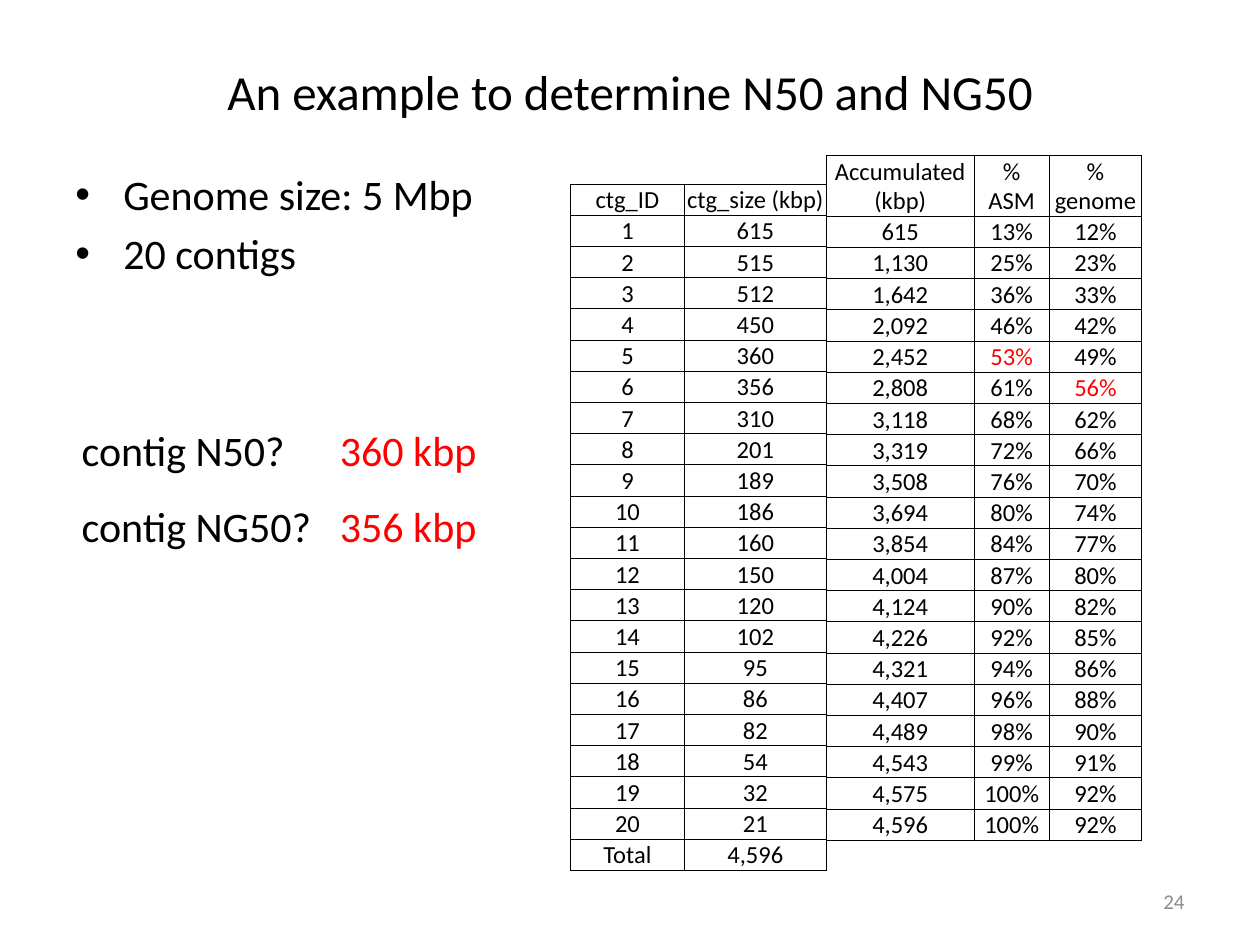
from itertools import accumulate

from lxml.etree import SubElement
from pptx import Presentation
from pptx.dml.color import RGBColor
from pptx.enum.text import MSO_ANCHOR, MSO_AUTO_SIZE, PP_ALIGN
from pptx.oxml.ns import qn
from pptx.util import Inches, Pt

BLACK = RGBColor(0x00, 0x00, 0x00)
RED = RGBColor(0xFF, 0x00, 0x00)
GRAY = RGBColor(0x8C, 0x8C, 0x8C)

CONTIG_SIZES = [615, 515, 512, 450, 360, 356, 310, 201, 189, 186,
                160, 150, 120, 102, 95, 86, 82, 54, 32, 21]
GENOME_SIZE = 5000
ROW_HEIGHT = 2.48


class SlideBuilder:
    """Hold the text style and the current slide, placed on a 100 by 75 grid."""

    font = "Calibri"
    unit = Inches(0.1)

    def __init__(self, presentation):
        self.slide = presentation.slides.add_slide(presentation.slide_layouts[5])

    def span(self, *lengths):
        return [round(length * self.unit) for length in lengths]

    def format_text(self, text_frame, size, color, align=PP_ALIGN.LEFT):
        for paragraph in text_frame.paragraphs:
            paragraph.alignment = align
            for run in paragraph.runs:
                run.font.name = self.font
                run.font.size = Pt(size)
                run.font.color.rgb = color

    def title(self, text, box):
        shape = self.slide.shapes.title
        shape.left, shape.top, shape.width, shape.height = self.span(*box)
        shape.text_frame.text = text
        shape.text_frame.vertical_anchor = MSO_ANCHOR.MIDDLE
        self.format_text(shape.text_frame, 28, BLACK, PP_ALIGN.CENTER)

    def text(self, text, box, size=24, color=BLACK, align=PP_ALIGN.LEFT):
        text_frame = self.slide.shapes.add_textbox(*self.span(*box)).text_frame
        text_frame.word_wrap = True
        text_frame.text = text
        self.format_text(text_frame, size, color, align)
        return text_frame

    def bullets(self, text, box):
        for paragraph in self.text(text, box).paragraphs:
            paragraph.space_before = Pt(4.8)
            properties = paragraph._p.get_or_add_pPr()
            properties.set("marL", str(Inches(0.38)))
            properties.set("indent", str(-Inches(0.38)))
            SubElement(properties, qn("a:buFont"), typeface="Arial")
            SubElement(properties, qn("a:buChar"), char="•")

    def spaced_lines(self, text, box, color):
        text_frame = self.text(text, box, color=color)
        text_frame.word_wrap = False
        text_frame.auto_size = MSO_AUTO_SIZE.SHAPE_TO_FIT_TEXT
        for paragraph in text_frame.paragraphs:
            paragraph.line_spacing = 1.5

    def table(self, records, left, top, widths, header_height, highlights=()):
        height = header_height + ROW_HEIGHT * (len(records) - 1)
        box = self.span(left, top, sum(widths), height)
        table = self.slide.shapes.add_table(len(records), len(widths), *box).table
        table.first_row = table.horz_banding = False
        for column, width in zip(table.columns, self.span(*widths)):
            column.width = width
        for row_index, record in enumerate(records):
            row = table.rows[row_index]
            row.height, = self.span(ROW_HEIGHT if row_index else header_height)
            for column_index, value in enumerate(record):
                color = RED if (row_index, column_index) in highlights else BLACK
                self.fill_cell(table.cell(row_index, column_index), value, color)

    def fill_cell(self, cell, value, color):
        cell.text_frame.text = value
        cell.vertical_anchor = MSO_ANCHOR.BOTTOM
        cell.margin_left = cell.margin_right = cell.margin_top = Inches(0.01)
        cell.margin_bottom = 0
        self.format_text(cell.text_frame, 14, color, PP_ALIGN.CENTER)
        properties = cell._tc.get_or_add_tcPr()
        for side in ("lnL", "lnR", "lnT", "lnB"):
            line = SubElement(properties, qn(f"a:{side}"), w=str(Pt(0.5)))
            fill = SubElement(line, qn("a:solidFill"))
            SubElement(fill, qn("a:srgbClr"), val=str(BLACK))
        cell.fill.background()


def main():
    presentation = Presentation()
    presentation.slide_width, presentation.slide_height = Inches(10), Inches(7.5)
    builder = SlideBuilder(presentation)

    builder.title("An example to determine N50 and NG50", (5, 3, 90, 8.5))
    builder.bullets("Genome size: 5 Mbp\n20 contigs", (5, 12.9, 37.5, 12.1))
    builder.spaced_lines("contig N50?\ncontig NG50?", (5.5, 31.2, 20.5, 12.8), BLACK)

    totals = list(accumulate(CONTIG_SIZES))
    assembly_size = totals[-1]
    contigs = [("ctg_ID", "ctg_size (kbp)")]
    contigs += [(str(number), str(size)) for number, size in enumerate(CONTIG_SIZES, 1)]
    contigs.append(("Total", f"{assembly_size:,}"))
    builder.table(contigs, 45.3, 14.6, (9, 11.3), ROW_HEIGHT)

    shares = [("Accumulated (kbp)", "%\nASM", "%\ngenome")]
    shares += [(f"{total:,}", f"{100 * total / assembly_size:.0f}%",
                f"{100 * total / GENOME_SIZE:.0f}%") for total in totals]
    halfway = {
        (next(row for row, total in enumerate(totals, 1) if 2 * total >= size), column)
        for column, size in ((1, assembly_size), (2, GENOME_SIZE))
    }
    builder.table(shares, 65.6, 12.35, (11.7, 6, 7.3), 4.8, halfway)

    builder.spaced_lines("360 kbp\n356 kbp", (26, 31.2, 13, 12.8), RED)
    number = builder.text("24", (71.7, 69.5, 23.3, 4), 12, GRAY, PP_ALIGN.RIGHT)
    number.vertical_anchor = MSO_ANCHOR.MIDDLE
    presentation.save("out.pptx")


if __name__ == "__main__":
    main()
